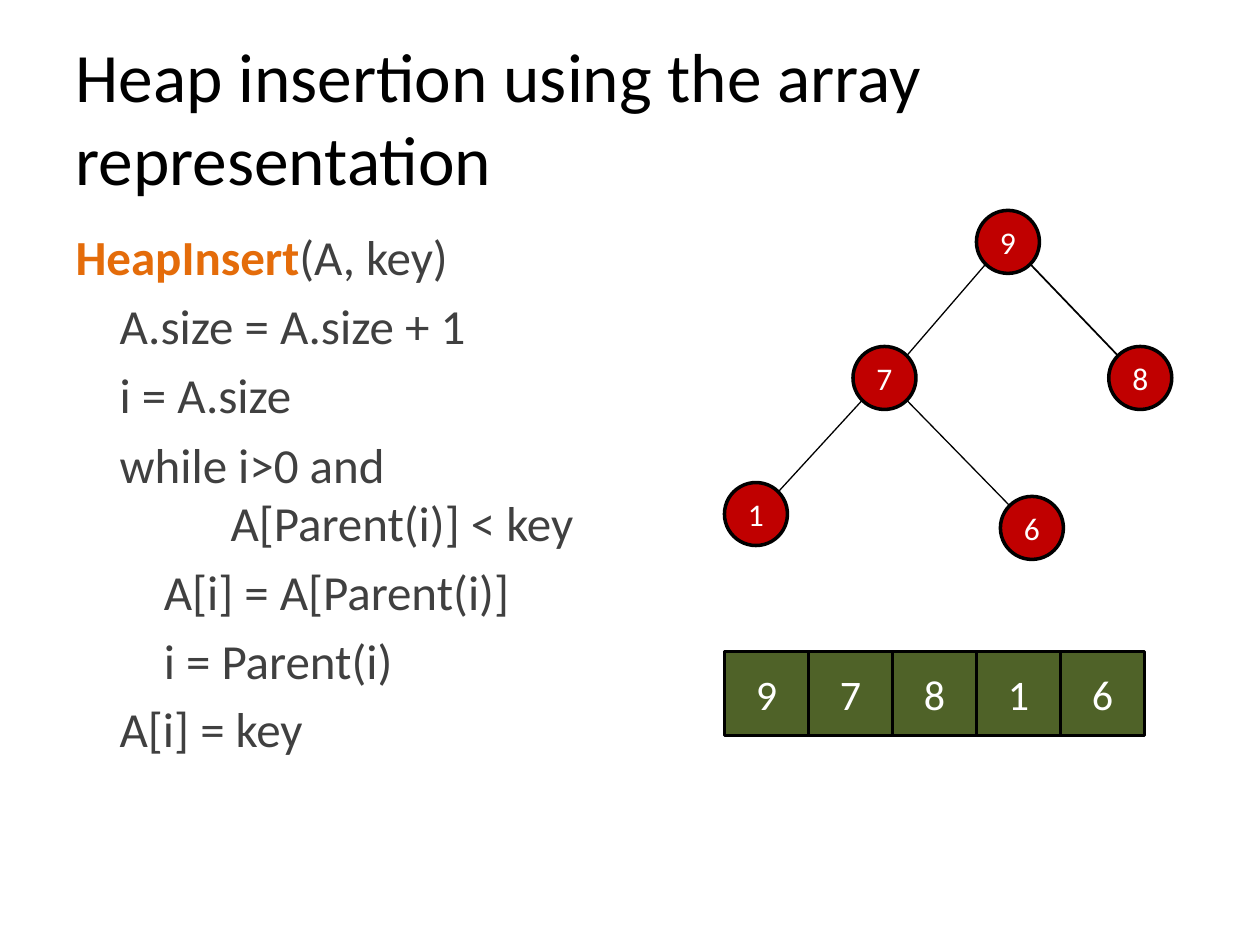
import math
from dataclasses import dataclass

from lxml import etree
from pptx import Presentation
from pptx.dml.color import RGBColor
from pptx.enum.shapes import MSO_CONNECTOR, MSO_SHAPE
from pptx.enum.text import MSO_ANCHOR, MSO_AUTO_SIZE, PP_ALIGN
from pptx.oxml.ns import qn
from pptx.util import Inches, Pt

STRAIGHT = MSO_CONNECTOR.STRAIGHT
OVAL, RECTANGLE = MSO_SHAPE.OVAL, MSO_SHAPE.RECTANGLE
LEFT, CENTER = PP_ALIGN.LEFT, PP_ALIGN.CENTER
MIDDLE, TOP = MSO_ANCHOR.MIDDLE, MSO_ANCHOR.TOP
NO_AUTOFIT = MSO_AUTO_SIZE.NONE


@dataclass(frozen=True)
class Theme:
    font: str = "Calibri"
    black: str = "000000"
    white: str = "FFFFFF"
    code: str = "404040"
    function: str = "E46C0A"
    node: str = "C00000"
    cell: str = "4F6228"
    title_size: float = 39.6
    code_size: float = 28
    node_size: float = 18
    cell_size: float = 24
    outline: float = 2


THEME = Theme()

NODE_SIZE = 0.5
CELL_SIZE = 2 / 3
ARRAY_LEFT, ARRAY_TOP = 5.75, 5.17
INDENT = 0.35  # one code level
CONTINUATION = 1.23  # wrapped loop condition

# Left and top of each tree node, in array order
NODES = {
    "9": (7.75, 1.67),
    "7": (6.77, 2.75),
    "8": (8.8, 2.75),
    "1": (5.75, 3.83),
    "6": (7.94, 3.94),
}
# Parent, child, line width
EDGES = [("9", "7", 0.75), ("9", "8", 1), ("7", "1", 0.75), ("7", "6", 0.75)]

# Indent level and the lines of each statement
STATEMENTS = [
    (1, ["A.size = A.size + 1"]),
    (1, ["i = A.size"]),
    (1, ["while i>0 and", "A[Parent(i)] < key"]),
    (2, ["A[i] = A[Parent(i)]"]),
    (2, ["i = Parent(i)"]),
    (1, ["A[i] = key"]),
]


def add_run(paragraph, text, size, color, bold=False):
    run = paragraph.add_run()
    run.text = text
    formats = {"name": THEME.font, "size": Pt(size), "bold": bold}
    for name, value in formats.items():
        setattr(run.font, name, value)
    run.font.color.rgb = RGBColor.from_string(color)


def place(placeholder, left, top, width, height, anchor):
    box = {"left": left, "top": top, "width": width, "height": height}
    for name, value in box.items():
        setattr(placeholder, name, Inches(value))
    frame = placeholder.text_frame
    formats = {"word_wrap": True, "auto_size": NO_AUTOFIT, "vertical_anchor": anchor}
    for name, value in formats.items():
        setattr(frame, name, value)
    return frame


def format_code(paragraph, margin, first_line=0):
    """Remove the bullet and set the left margin and first-line indent."""
    paragraph.alignment = LEFT
    properties = paragraph._p.get_or_add_pPr()
    properties.set("marL", str(Inches(margin)))
    properties.set("indent", str(Inches(first_line)))
    etree.SubElement(properties, qn("a:buNone"))


def add_title(slide):
    frame = place(slide.shapes.title, 0.5, 0.3, 9, 1.25, MIDDLE)
    paragraph = frame.paragraphs[0]
    paragraph.alignment = LEFT
    add_run(paragraph, "Heap insertion using the array representation",
            THEME.title_size, THEME.black)


def add_code(slide):
    frame = place(slide.placeholders[1], 0.5, 1.75, 4.92, 4.58, TOP)
    heading = frame.paragraphs[0]
    format_code(heading, 0)
    add_run(heading, "HeapInsert", THEME.code_size, THEME.function, bold=True)
    add_run(heading, "(A, key)", THEME.code_size, THEME.code)
    for level, lines in STATEMENTS:
        paragraph = frame.add_paragraph()
        start = level * INDENT
        margin = CONTINUATION if len(lines) > 1 else start
        format_code(paragraph, margin, start - margin)
        for number, line in enumerate(lines):
            if number:
                paragraph.add_line_break()
            add_run(paragraph, line, THEME.code_size, THEME.code)


def add_value(slide, kind, left, top, size, text, fill, text_size):
    shape = slide.shapes.add_shape(
        kind, Inches(left), Inches(top), Inches(size), Inches(size))
    shape.shadow.inherit = False
    shape.fill.solid()
    shape.fill.fore_color.rgb = RGBColor.from_string(fill)
    shape.line.color.rgb = RGBColor.from_string(THEME.black)
    shape.line.width = Pt(THEME.outline)
    shape.text_frame.vertical_anchor = MIDDLE
    paragraph = shape.text_frame.paragraphs[0]
    paragraph.alignment = CENTER
    add_run(paragraph, text, text_size, THEME.white)


def add_edge(slide, parent, child, width):
    """Join the facing diagonal points of two node circles."""
    radius = NODE_SIZE / 2
    offset = radius * math.sqrt(0.5)
    (parent_x, parent_y), (child_x, child_y) = (
        (left + radius, top + radius) for left, top in (NODES[parent], NODES[child]))
    side = math.copysign(offset, child_x - parent_x)
    edge = slide.shapes.add_connector(
        STRAIGHT, Inches(parent_x + side), Inches(parent_y + offset),
        Inches(child_x - side), Inches(child_y - offset))
    edge.line.color.rgb = RGBColor.from_string(THEME.black)
    edge.line.width = Pt(width)
    etree.SubElement(edge._element.spPr, qn("a:effectLst"))


def main():
    presentation = Presentation()
    presentation.slide_width, presentation.slide_height = Inches(10), Inches(7.5)
    slide = presentation.slides.add_slide(presentation.slide_layouts[1])

    # Title and pseudocode
    add_title(slide)
    add_code(slide)

    # Heap as a tree
    for parent, child, width in EDGES:
        add_edge(slide, parent, child, width)
    for key, (left, top) in NODES.items():
        add_value(slide, OVAL, left, top, NODE_SIZE, key, THEME.node, THEME.node_size)

    # Heap as an array
    for index, key in enumerate(NODES):
        add_value(slide, RECTANGLE, ARRAY_LEFT + index * CELL_SIZE, ARRAY_TOP,
                  CELL_SIZE, key, THEME.cell, THEME.cell_size)

    presentation.save("out.pptx")


if __name__ == "__main__":
    main()
